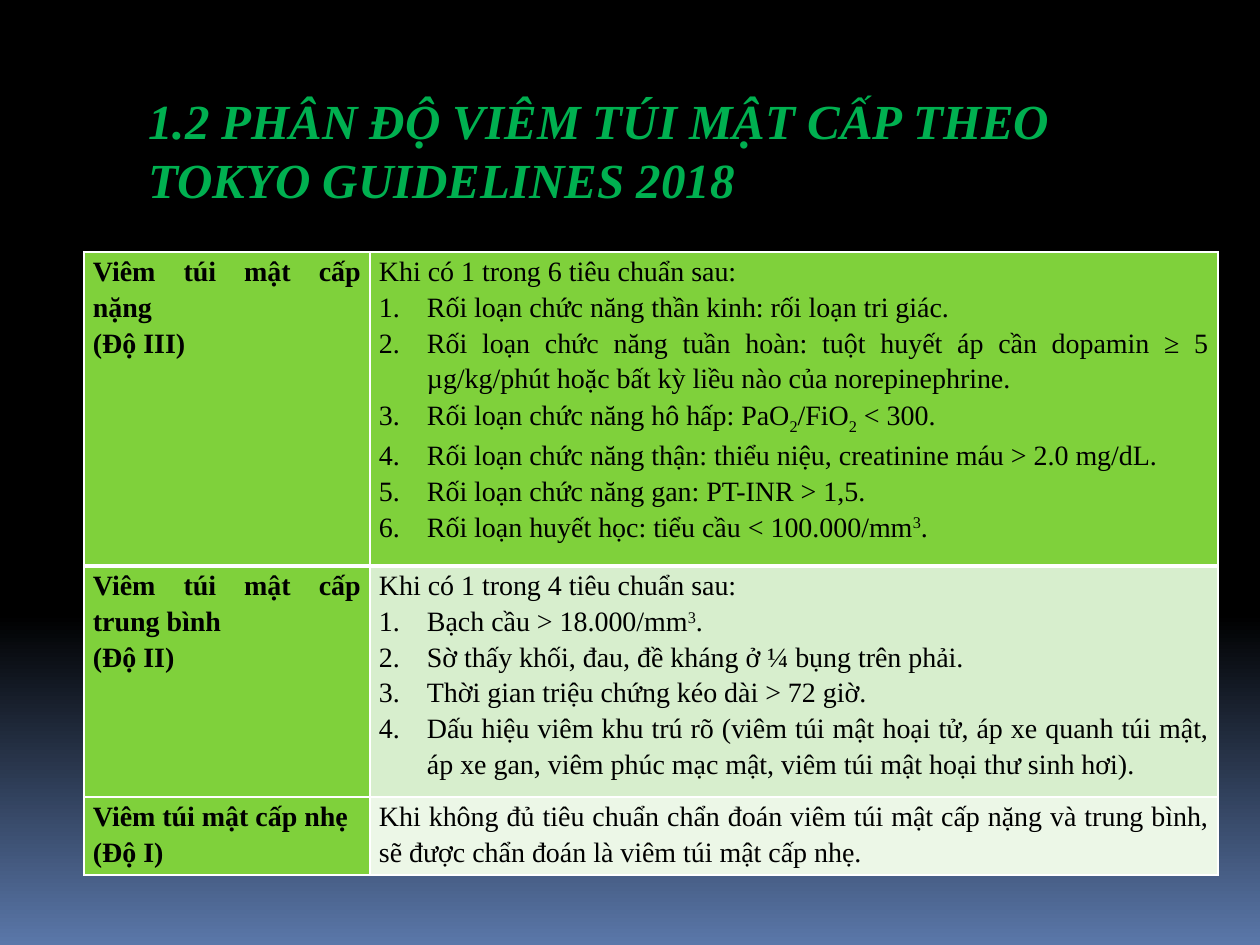
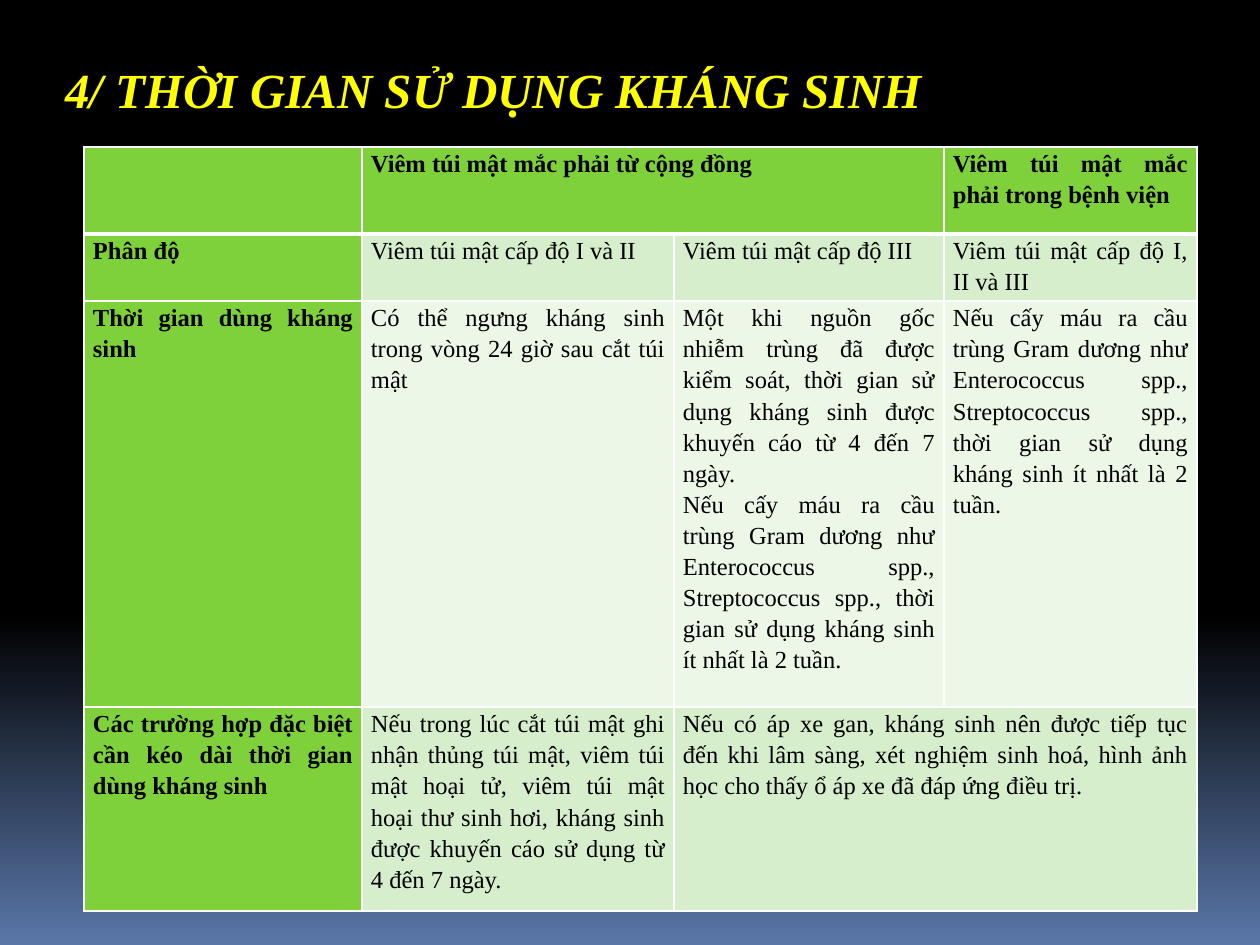
from copy import deepcopy
from dataclasses import dataclass

from lxml import etree
from pptx import Presentation
from pptx.dml.color import RGBColor
from pptx.enum.text import MSO_AUTO_SIZE, PP_ALIGN
from pptx.oxml.ns import qn
from pptx.util import Emu, Pt

JUSTIFY = PP_ALIGN.JUSTIFY
NO_AUTOFIT = MSO_AUTO_SIZE.NONE
EMU_PER_PX = 914400 / 126
SUBSCRIPT, SUPERSCRIPT = -25000, 30000


def px(length):
    return Emu(round(length * EMU_PER_PX))


@dataclass(frozen=True)
class Theme:
    font: str = "Times New Roman"
    text: str = "000000"
    border: str = "FFFFFF"
    accent: str = "7FD13B"
    bands: tuple = ("D7EECD", "ECF7E7")
    background: tuple = ((0, "000000"), (0.65, "000000"), (1, "5A77A9"))
    section_title: str = "00B050"
    topic_title: str = "FFFF00"
    title_size: int = 28
    thin_line: int = 1
    header_line: int = 3
    line_spacing: float = 1.15
    cell_margin: int = 9
    number_indent: int = 48


@dataclass(frozen=True)
class Item:
    """A numbered criterion; every second fragment is raised or lowered."""
    fragments: tuple
    baseline: int = 0


def numbered(*fragments, baseline=0):
    return Item(fragments, baseline)


class Deck:
    def __init__(self, theme):
        self.theme = theme
        self.presentation = Presentation()
        self.presentation.slide_width = px(1260)
        self.presentation.slide_height = px(945)
        self.slide = None
        self.paint_background()

    def paint_background(self):
        master = self.presentation.slide_master
        fill = master.background.fill
        fill.gradient()
        fill.gradient_angle = 270
        stop_list = master.element.find(".//" + qn("a:gsLst"))
        stop_list.append(deepcopy(stop_list[-1]))
        for stop, (position, color) in zip(fill.gradient_stops, self.theme.background):
            stop.position = position
            stop.color.rgb = RGBColor.from_string(color)

    def add_slide(self):
        blank_layout = self.presentation.slide_layouts[6]
        self.slide = self.presentation.slides.add_slide(blank_layout)

    def add_run(self, paragraph, text, color, baseline=0, **font_format):
        run = paragraph.add_run()
        run.text = text
        for name, value in {"name": self.theme.font, **font_format}.items():
            setattr(run.font, name, value)
        run.font.color.rgb = RGBColor.from_string(color)
        if baseline:
            run._r.get_or_add_rPr().set("baseline", str(baseline))

    def add_title(self, text, color, left, top, width, height):
        shape = self.slide.shapes.add_textbox(px(left), px(top), px(width), px(height))
        frame_format = {"word_wrap": True, "auto_size": NO_AUTOFIT}
        for name, value in frame_format.items():
            setattr(shape.text_frame, name, value)
        self.add_run(shape.text_frame.paragraphs[0], text, color,
                     size=Pt(self.theme.title_size), bold=True, italic=True)

    def add_table(self, left, top, columns, rows, content, size,
                  bold_header=False, merges=()):
        shape = self.slide.shapes.add_table(
            len(rows), len(columns), px(left), px(top), px(sum(columns)), px(sum(rows)))
        table = shape.table
        for column, width in zip(table.columns, columns):
            column.width = px(width)
        for row, height in zip(table.rows, rows):
            row.height = px(height)
        for row_index, row_content in enumerate(content):
            for column_index, lines in enumerate(row_content):
                cell = table.cell(row_index, column_index)
                self.style_cell(cell, row_index, column_index)
                bold = column_index == 0 or (bold_header and row_index == 0)
                self.fill_text(cell.text_frame, lines, size, bold)
        for row_index, first, last in merges:
            table.cell(row_index, first).merge(table.cell(row_index, last))

    def style_cell(self, cell, row_index, column_index):
        theme = self.theme
        margins = {"margin_left": theme.cell_margin, "margin_right": theme.cell_margin,
                   "margin_top": 0, "margin_bottom": 0}
        for name, value in margins.items():
            setattr(cell, name, px(value))
        # Borders come before the fill in the cell properties
        widths = {"lnL": theme.thin_line, "lnR": theme.thin_line,
                  "lnT": theme.header_line if row_index == 1 else theme.thin_line,
                  "lnB": theme.header_line if row_index == 0 else theme.thin_line}
        properties = cell._tc.get_or_add_tcPr()
        for side, width in widths.items():
            line = etree.SubElement(properties, qn("a:" + side), w=str(Pt(width)))
            solid = etree.SubElement(line, qn("a:solidFill"))
            etree.SubElement(solid, qn("a:srgbClr"), val=theme.border)
        in_header = row_index == 0 or column_index == 0
        color = theme.accent if in_header else theme.bands[(row_index - 1) % 2]
        cell.fill.solid()
        cell.fill.fore_color.rgb = RGBColor.from_string(color)

    def fill_text(self, text_frame, lines, size, bold):
        for index, line in enumerate(lines):
            paragraph = text_frame.add_paragraph() if index else text_frame.paragraphs[0]
            paragraph.alignment = JUSTIFY
            paragraph.line_spacing = self.theme.line_spacing
            item = line if isinstance(line, Item) else Item((line,))
            if item is line:
                self.add_number(paragraph)
            for fragment_index, fragment in enumerate(item.fragments):
                self.add_run(paragraph, fragment, self.theme.text,
                             item.baseline if fragment_index % 2 else 0,
                             size=Pt(size), bold=bold)

    def add_number(self, paragraph):
        indent = px(self.theme.number_indent)
        properties = paragraph._p.get_or_add_pPr()
        properties.set("marL", str(indent))
        properties.set("indent", str(-indent))
        color = etree.SubElement(properties, qn("a:buClr"))
        etree.SubElement(color, qn("a:srgbClr"), val=self.theme.text)
        etree.SubElement(properties, qn("a:buFont"), typeface="+mj-lt")
        etree.SubElement(properties, qn("a:buAutoNum"), type="arabicPeriod")


GRAM_POSITIVE = ("Nếu cấy máu ra cầu trùng Gram dương như Enterococcus spp., "
                 "Streptococcus spp., thời gian sử dụng kháng sinh ít nhất là 2 tuần.")

SEVERITY_GRADES = [
    [
        ["Viêm túi mật cấp nặng", "(Độ III)"],
        [
            "Khi có 1 trong 6 tiêu chuẩn sau:",
            numbered("Rối loạn chức năng thần kinh: rối loạn tri giác."),
            numbered("Rối loạn chức năng tuần hoàn: tuột huyết áp cần dopamin ≥ 5 "
                     "µg/kg/phút hoặc bất kỳ liều nào của norepinephrine."),
            numbered("Rối loạn chức năng hô hấp: PaO", "2", "/FiO", "2", " < 300.",
                     baseline=SUBSCRIPT),
            numbered("Rối loạn chức năng thận: thiểu niệu, creatinine máu > 2.0 mg/dL."),
            numbered("Rối loạn chức năng gan: PT-INR > 1,5."),
            numbered("Rối loạn huyết học: tiểu cầu < 100.000/mm", "3", ".",
                     baseline=SUPERSCRIPT),
        ],
    ],
    [
        ["Viêm túi mật cấp trung bình", "(Độ II)"],
        [
            "Khi có 1 trong 4 tiêu chuẩn sau:",
            numbered("Bạch cầu > 18.000/mm", "3", ".", baseline=SUPERSCRIPT),
            numbered("Sờ thấy khối, đau, đề kháng ở ¼ bụng trên phải."),
            numbered("Thời gian triệu chứng kéo dài > 72 giờ."),
            numbered("Dấu hiệu viêm khu trú rõ (viêm túi mật hoại tử, áp xe quanh túi "
                     "mật, áp xe gan, viêm phúc mạc mật, viêm túi mật hoại thư sinh hơi)."),
        ],
    ],
    [
        ["Viêm túi mật cấp nhẹ", "(Độ I)"],
        ["Khi không đủ tiêu chuẩn chẩn đoán viêm túi mật cấp nặng và trung bình, "
         "sẽ được chẩn đoán là viêm túi mật cấp nhẹ."],
    ],
]

ANTIBIOTIC_DURATION = [
    [
        [],
        ["Viêm túi mật mắc phải từ cộng đồng"],
        [],
        ["Viêm túi mật mắc phải trong bệnh viện"],
    ],
    [
        ["Phân độ"],
        ["Viêm túi mật cấp độ I và II"],
        ["Viêm túi mật cấp độ III"],
        ["Viêm túi mật cấp độ I, II và III"],
    ],
    [
        ["Thời gian dùng kháng sinh"],
        ["Có thể ngưng kháng sinh trong vòng 24 giờ sau cắt túi mật"],
        ["Một khi nguồn gốc nhiễm trùng đã được kiểm soát, thời gian sử dụng "
         "kháng sinh được khuyến cáo từ 4 đến 7 ngày.", GRAM_POSITIVE],
        [GRAM_POSITIVE],
    ],
    [
        ["Các trường hợp đặc biệt cần kéo dài thời gian dùng kháng sinh"],
        ["Nếu trong lúc cắt túi mật ghi nhận thủng túi mật, viêm túi mật hoại tử, "
         "viêm túi mật hoại thư sinh hơi, kháng sinh được khuyến cáo sử dụng từ "
         "4 đến 7 ngày."],
        ["Nếu có áp xe gan, kháng sinh nên được tiếp tục đến khi lâm sàng, xét nghiệm "
         "sinh hoá, hình ảnh học cho thấy ổ áp xe đã đáp ứng điều trị."],
        [],
    ],
]


def main():
    theme = Theme()
    deck = Deck(theme)

    # Severity grading
    deck.add_slide()
    deck.add_title("1.2 PHÂN ĐỘ VIÊM TÚI MẬT CẤP THEO TOKYO GUIDELINES 2018",
                   theme.section_title, 136, 84, 1062, 131)
    deck.add_table(84, 252, columns=(286, 848), rows=(314, 231, 78),
                   content=SEVERITY_GRADES, size=16)

    # Duration of antibiotic treatment
    deck.add_slide()
    deck.add_title("4/ THỜI GIAN SỬ DỤNG KHÁNG SINH",
                   theme.topic_title, 53, 53, 977, 72)
    deck.add_table(84, 147, columns=(278, 312, 270, 253), rows=(87, 67, 406, 204),
                   content=ANTIBIOTIC_DURATION, size=14, bold_header=True,
                   merges=((0, 1, 2), (3, 2, 3)))

    deck.presentation.save("out.pptx")


if __name__ == "__main__":
    main()
